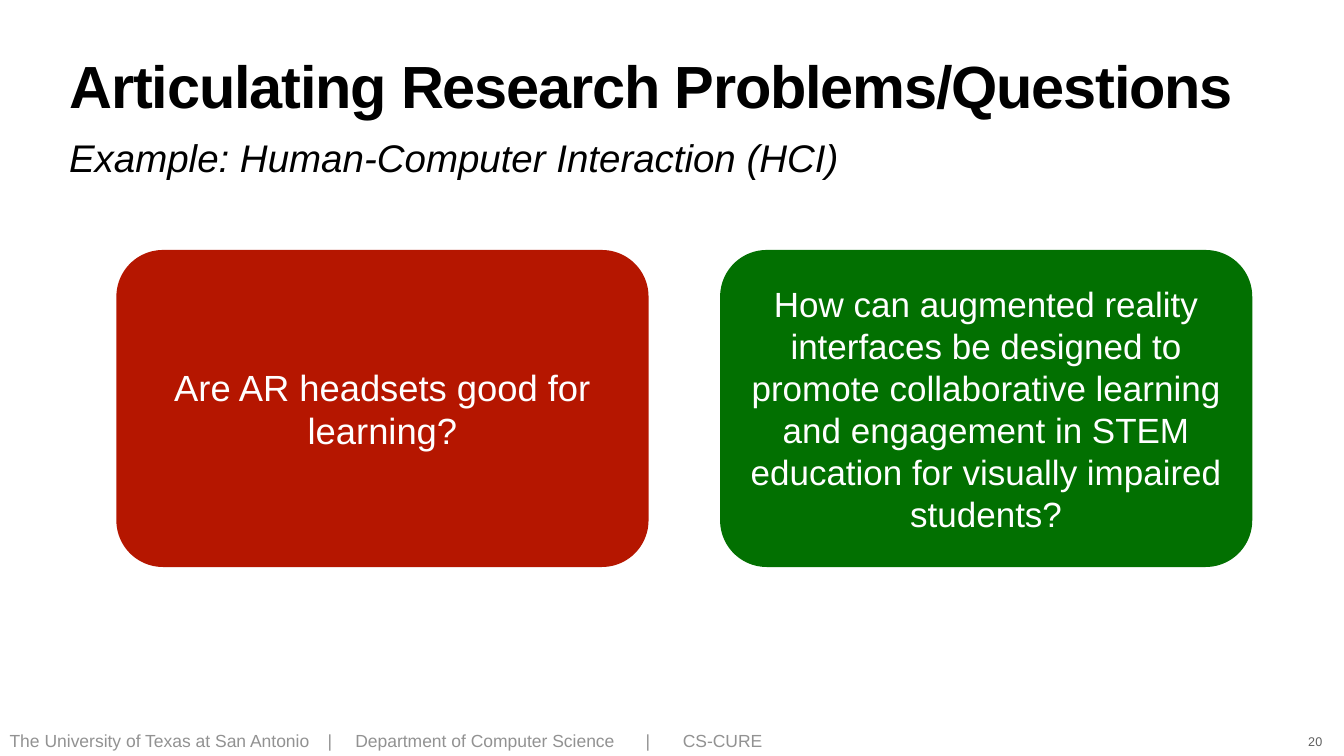
from pptx import Presentation
from pptx.dml.color import RGBColor
from pptx.enum.shapes import MSO_SHAPE as Shape
from pptx.enum.text import MSO_ANCHOR as Anchor, PP_ALIGN as Align
from pptx.oxml.ns import qn
from pptx.util import Inches, Pt
from lxml.etree import SubElement

# Content
TITLE = "Articulating Research Problems/Questions"
SUBTITLE = "Example: Human-Computer Interaction (HCI)"
QUESTIONS = [  # text, fill, size
    ("Are AR headsets good for learning?", "B51600", 52),
    ("How can augmented reality interfaces be designed to promote collaborative "
     "learning and engagement in STEM education for visually impaired students?",
     "027001", 50),
]
FOOTER = ["The University of Texas at San Antonio", "|",
          "Department of Computer Science", "|", "CS-CURE"]
FOOTER_TABS = [6.31, 6.86, 12.62, 13.36]
PAGE_NUMBER = "20"

# Layout in inches
MARGIN, TEXT_WIDTH = 1.32, 24.03
CARD_LEFT, CARD_TOP, CARD_WIDTH, CARD_HEIGHT, CARD_GAP = 2.31, 4.96, 10.56, 6.29, 1.42


def rgb(value):
    return RGBColor.from_string(value)


def write(shape, text, size, color, anchor=Anchor.TOP, align=Align.LEFT,
          inset=0.06, wrap=True):
    """Fill a shape with one paragraph and return that paragraph."""
    frame = shape.text_frame
    frame.text = text
    frame.word_wrap = wrap
    frame.vertical_anchor = anchor
    frame.margin_left = frame.margin_right = Inches(inset)
    frame.margin_top = frame.margin_bottom = Inches(inset)
    paragraph = frame.paragraphs[0]
    paragraph.alignment = align
    font = paragraph.runs[0].font
    font.name, font.size = "Arial", Pt(size)
    font.color.rgb = rgb(color)
    return paragraph


prs = Presentation()
prs.slide_width, prs.slide_height = Inches(26.67), Inches(15)
slide = prs.slides.add_slide(prs.slide_layouts[6])


def add_box(left, top, width, height):
    return slide.shapes.add_textbox(*map(Inches, (left, top, width, height)))


# Footer, with tab stops around the separators
footer = write(add_box(0.13, 14.45, 25.48, 0.52), "\t".join(FOOTER), 25, "929292",
               Anchor.MIDDLE)
tab_list = SubElement(footer._p.get_or_add_pPr(), qn("a:tabLst"))
for position in FOOTER_TABS:
    SubElement(tab_list, qn("a:tab"), pos=str(Inches(position)), algn="l")
footer.line_spacing = 0.9

# Title and subtitle
title = write(add_box(MARGIN, 1.18, TEXT_WIDTH, 1.57), TITLE, 85, "000000")
title.line_spacing = 0.8
title.runs[0].font.bold = True
title.runs[0]._r.get_or_add_rPr().set("spc", "-170")

subtitle = write(add_box(MARGIN, 2.6, TEXT_WIDTH, 1.02), SUBTITLE, 55, "000000",
                 inset=0.05)
subtitle.runs[0].font.italic = True

# Page number
write(add_box(25.9, 14.51, 0.4, 0.41), PAGE_NUMBER, 18, "5E5E5E", Anchor.BOTTOM,
      Align.CENTER, wrap=False)

# Question cards
for i, (question, fill, size) in enumerate(QUESTIONS):
    left = CARD_LEFT + i * (CARD_WIDTH + CARD_GAP)
    card = slide.shapes.add_shape(
        Shape.ROUNDED_RECTANGLE,
        *map(Inches, (left, CARD_TOP, CARD_WIDTH, CARD_HEIGHT)))
    card.adjustments[0] = 0.147
    card.shadow.inherit = False
    card.fill.solid()
    card.fill.fore_color.rgb = rgb(fill)
    card.line.fill.background()
    write(card, question, size, "FFFFFF", Anchor.MIDDLE, Align.CENTER)

prs.save("out.pptx")
